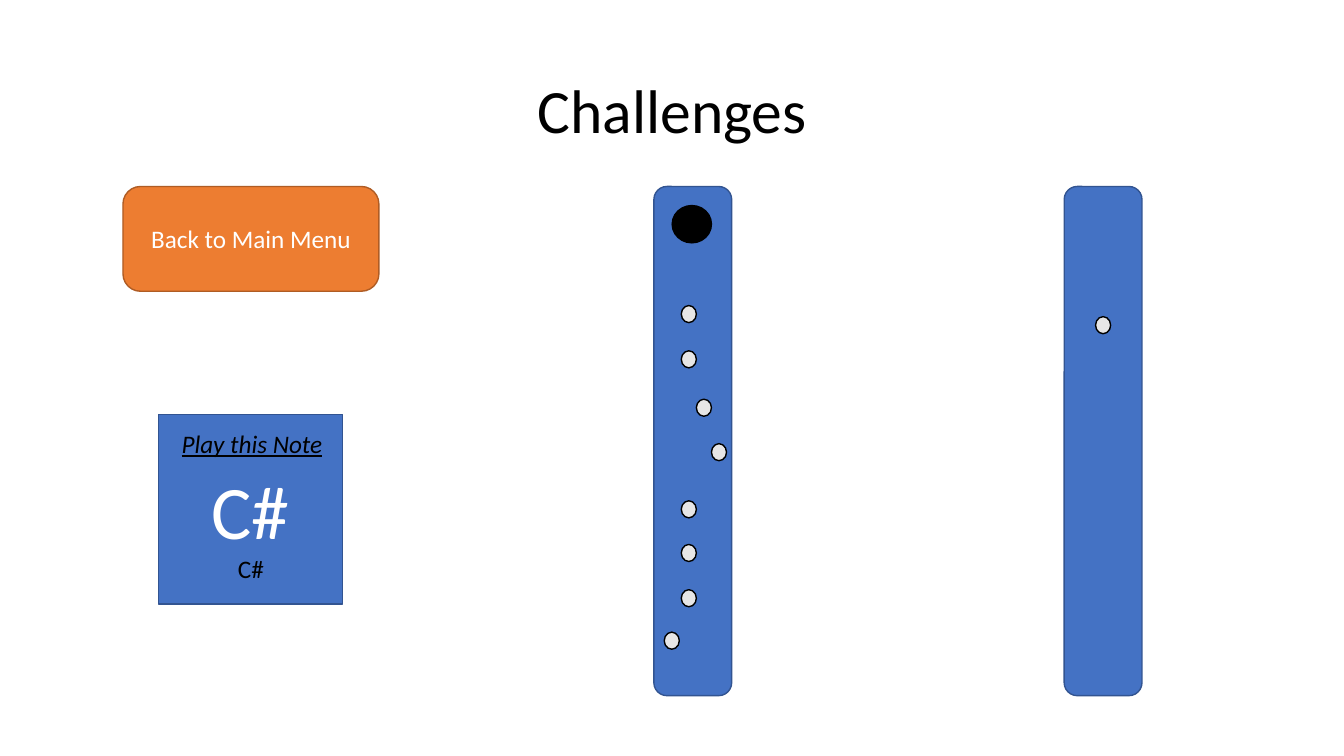
import pptx
import pptx.util
import pptx.dml.color
import pptx.enum.shapes
import pptx.enum.text
from pptx.util import Cm

SHAPE = pptx.enum.shapes.MSO_SHAPE
ALIGN = pptx.enum.text.PP_ALIGN
ANCHOR = pptx.enum.text.MSO_ANCHOR
AUTO_SIZE = pptx.enum.text.MSO_AUTO_SIZE

BLUE, BLUE_EDGE = "4472C4", "325491"
ORANGE, ORANGE_EDGE = "ED7D31", "AF5C24"
GREY, BLACK, WHITE = "E7E6E6", "000000", "FFFFFF"


def colour(hex_string):
    return pptx.dml.color.RGBColor.from_string(hex_string)


class SlideBuilder:
    font_name = "Calibri"
    line_width = pptx.util.Pt(1)

    def __init__(self, slide):
        self.slide = slide

    def set_text(self, frame, text, size, hex_string, anchor):
        frame.text = text
        frame.vertical_anchor = anchor
        paragraph = frame.paragraphs[0]
        paragraph.alignment = ALIGN.CENTER
        paragraph.font.name = self.font_name
        paragraph.font.size = pptx.util.Pt(size)
        paragraph.font.color.rgb = colour(hex_string)
        return paragraph

    def title(self, text, left, top, width, height):
        title = self.slide.shapes.title
        title.left, title.top = Cm(left), Cm(top)
        title.width, title.height = Cm(width), Cm(height)
        paragraph = self.set_text(title.text_frame, text, 44, BLACK, ANCHOR.MIDDLE)
        paragraph.line_spacing = 0.9

    def shape(self, kind, left, top, width, height, fill, edge, text="", size=18):
        shape = self.slide.shapes.add_shape(
            kind, Cm(left), Cm(top), Cm(width), Cm(height))
        shape.shadow.inherit = False
        shape.fill.solid()
        shape.fill.fore_color.rgb = colour(fill)
        shape.line.color.rgb = colour(edge)
        shape.line.width = self.line_width
        if text:
            self.set_text(shape.text_frame, text, size, WHITE, ANCHOR.MIDDLE)

    def label(self, text, left, top, width, height, wrap=True, emphasis=None):
        box = self.slide.shapes.add_textbox(
            Cm(left), Cm(top), Cm(width), Cm(height))
        frame = box.text_frame
        frame.word_wrap = wrap
        frame.auto_size = AUTO_SIZE.SHAPE_TO_FIT_TEXT
        paragraph = self.set_text(frame, text, 18, BLACK, ANCHOR.TOP)
        paragraph.font.italic = emphasis
        paragraph.font.underline = emphasis

    def tube(self, left):
        self.shape(SHAPE.ROUNDED_RECTANGLE, left, 4.7, 1.96, 12.83, BLUE, BLUE_EDGE)

    def hole(self, left, top):
        self.shape(SHAPE.OVAL, left, top, 0.38, 0.43, GREY, BLACK)


presentation = pptx.Presentation()
presentation.slide_width = Cm(33.87)
presentation.slide_height = Cm(19.05)
builder = SlideBuilder(
    presentation.slides.add_slide(presentation.slide_layouts.get_by_name("Title Only")))

# Heading and menu button
builder.title("Challenges", 2.34, 1.02, 29.21, 3.68)
builder.shape(SHAPE.ROUNDED_RECTANGLE, 3.1, 4.7, 6.45, 2.64,
              ORANGE, ORANGE_EDGE, "Back to Main Menu")

# Front of the recorder: mouth hole, then finger holes from top to bottom
front_left = 16.48
builder.tube(front_left)
builder.shape(SHAPE.OVAL, front_left + 0.46, 5.18, 0.99, 0.94, BLACK, BLACK)
finger_holes = [(0.69, 7.7), (0.69, 8.84), (1.07, 10.06), (1.45, 11.18),
                (0.69, 12.62), (0.69, 13.72), (0.69, 14.86), (0.26, 15.93)]
for offset, top in finger_holes:
    builder.hole(front_left + offset, top)

# Back of the recorder with its thumb hole
back_left = 26.82
builder.tube(back_left)
builder.hole(back_left + 0.79, 7.98)

# Note to play
builder.shape(SHAPE.RECTANGLE, 3.99, 10.44, 4.65, 4.78, BLUE, BLUE_EDGE, "C#", 54)
builder.label("Play this Note", 4.24, 10.67, 4.22, 1.02, emphasis=True)
builder.label("C#", 5.74, 13.82, 1.17, 1.02, wrap=False)

presentation.save("out.pptx")
